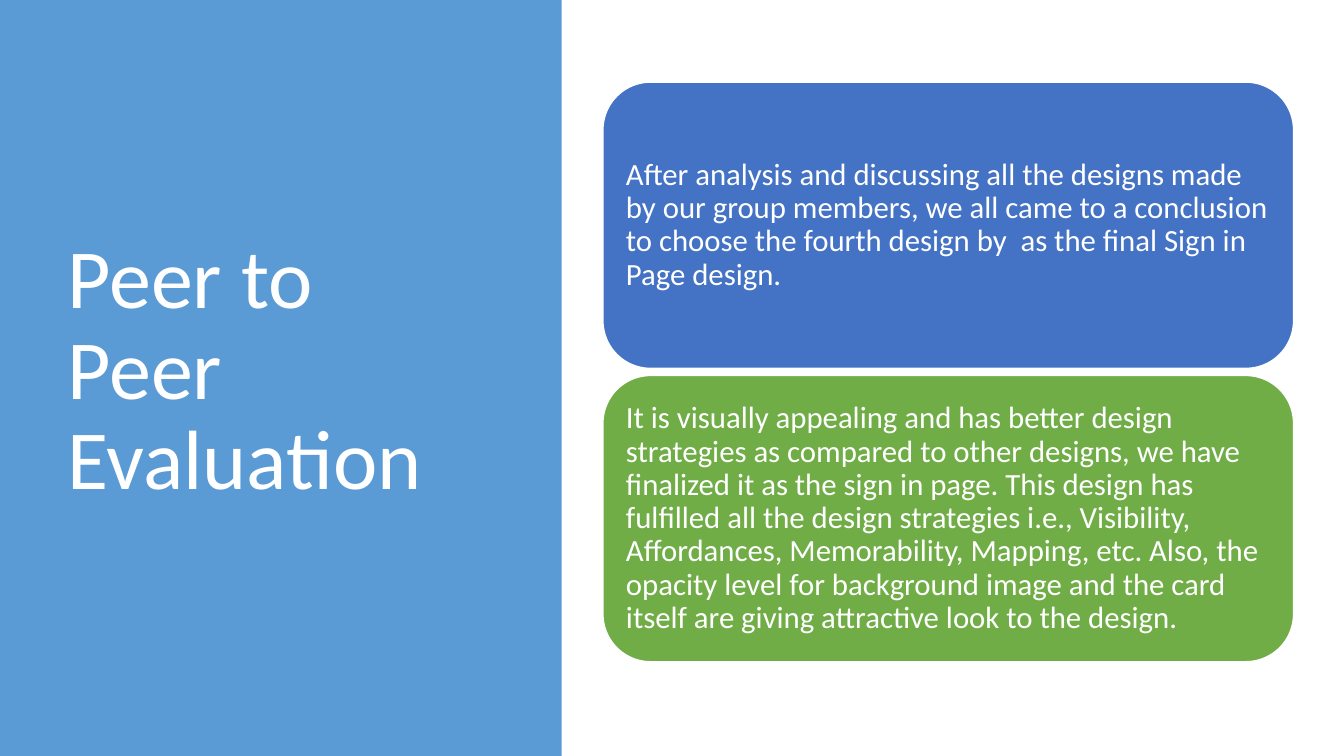
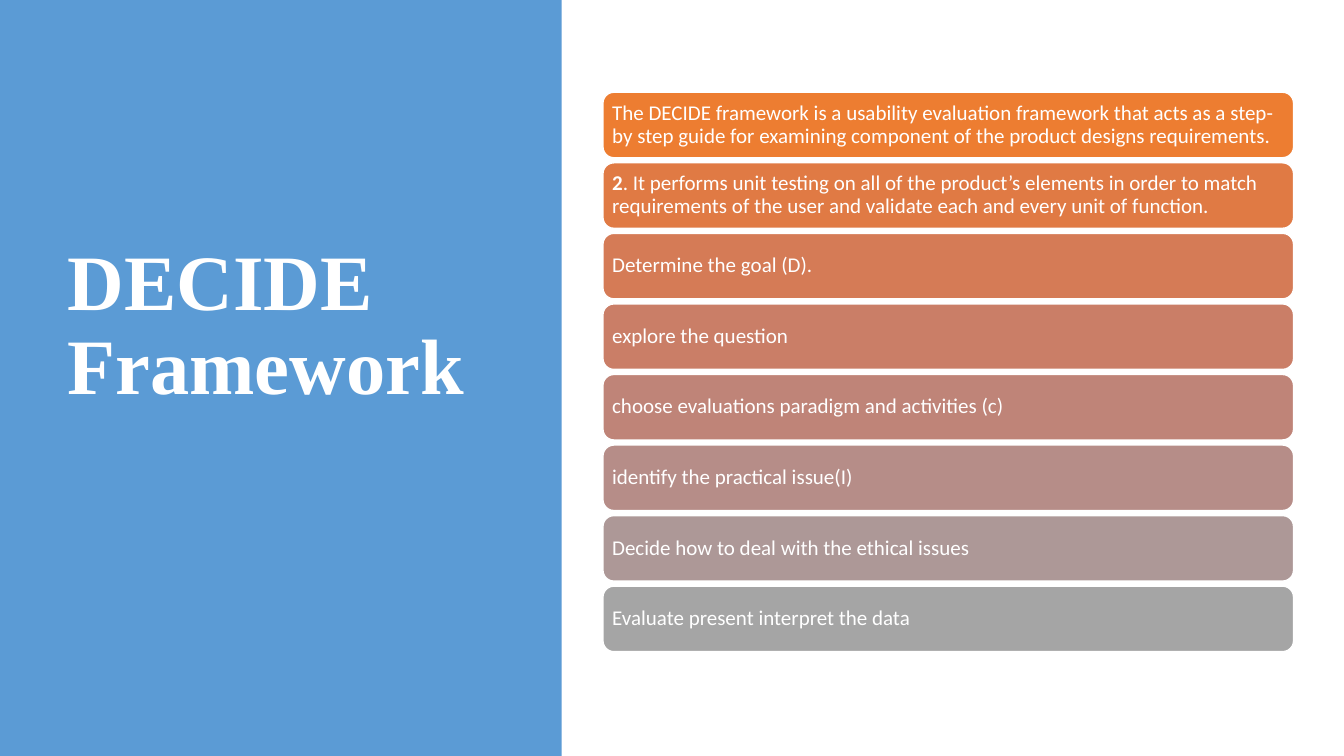
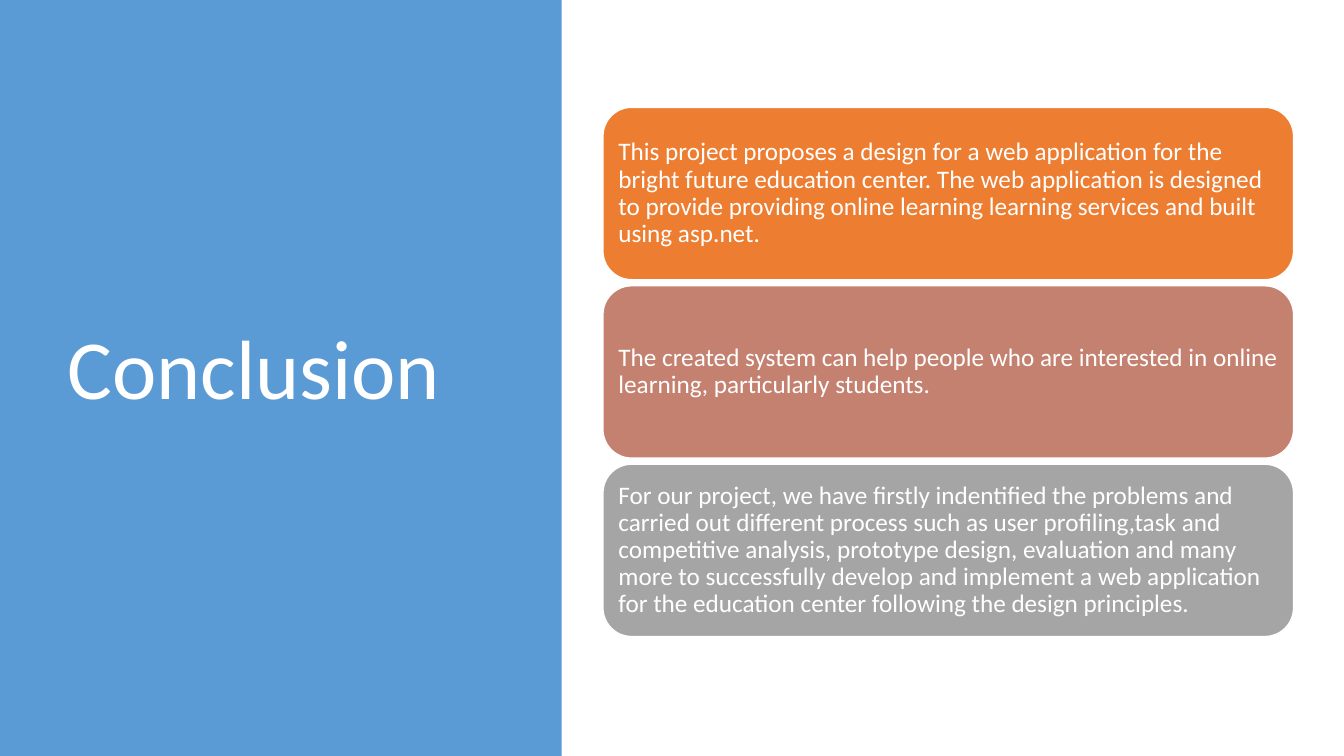
import pptx
import pptx.dml.color
import pptx.enum.shapes
import pptx.enum.text
import pptx.util

Inches = pptx.util.Inches

COLORS = {
    "panel": "5B9BD5",
    "white": "FFFFFF",
    "blue": "4472C4",
    "green": "70AD47",
    "orange": "ED7D31",
    "rust": "E07A44",
    "copper": "D57B56",
    "clay": "CA7E67",
    "rose": "C48170",
    "dusty": "BF8478",
    "mauve": "B68D88",
    "taupe": "AD9897",
    "gray": "A5A5A5",
}


def rgb(name):
    return pptx.dml.color.RGBColor.from_string(COLORS[name])


def write_text(frame, text, size, font="Calibri", color="white", bold=False, bold_prefix=""):
    frame.word_wrap = True
    frame.auto_size = pptx.enum.text.MSO_AUTO_SIZE.NONE
    frame.vertical_anchor = pptx.enum.text.MSO_ANCHOR.MIDDLE
    paragraph = frame.paragraphs[0]
    paragraph.alignment = pptx.enum.text.PP_ALIGN.LEFT
    paragraph.line_spacing = 0.9
    for part, heavy in ((bold_prefix, True), (text, bold)):
        if part:
            run = paragraph.add_run()
            run.text = part
            run.font.name = font
            run.font.size = pptx.util.Pt(size)
            run.font.bold = heavy
            run.font.color.rgb = rgb(color)


class Deck:
    panel_width = 5.57
    title_box = (0.57, 0.68, 4.16, 6.02)
    card_left = 5.98
    card_width = 6.85
    middle = 3.69

    def __init__(self):
        self.presentation = pptx.Presentation()
        self.presentation.slide_width = Inches(13.33)
        self.presentation.slide_height = Inches(7.5)
        self.slide = None

    def shape(self, kind, left, top, width, height, fill):
        shape = self.slide.shapes.add_shape(
            kind, Inches(left), Inches(top), Inches(width), Inches(height))
        shape.shadow.inherit = False
        shape.fill.solid()
        shape.fill.fore_color.rgb = rgb(fill)
        return shape

    def new_slide(self, title, size=60, bottom_margin=0.05, **text_format):
        self.slide = self.presentation.slides.add_slide(self.presentation.slide_layouts[5])
        panel = self.shape(pptx.enum.shapes.MSO_SHAPE.RECTANGLE,
                           0, 0, self.panel_width, 7.5, "panel")
        panel.line.fill.background()
        placeholder = self.slide.shapes.title
        placeholder.element.addprevious(panel.element)
        placeholder.left, placeholder.top, placeholder.width, placeholder.height = map(
            Inches, self.title_box)
        write_text(placeholder.text_frame, title, size, **text_format)
        placeholder.text_frame.margin_bottom = Inches(bottom_margin)

    def card(self, top, height, fill, text, size, inset, bold_prefix=""):
        card = self.shape(pptx.enum.shapes.MSO_SHAPE.ROUNDED_RECTANGLE,
                          self.card_left, top, self.card_width, height, fill)
        card.line.color.rgb = rgb("white")
        card.line.width = pptx.util.Pt(1)
        frame = card.text_frame
        frame.margin_left = frame.margin_right = Inches(inset)
        frame.margin_top = frame.margin_bottom = Inches(inset)
        write_text(frame, text, size, bold_prefix=bold_prefix)

    def card_stack(self, cards, height, gap, size, inset):
        pitch = height + gap
        first_top = self.middle - (len(cards) * pitch - gap) / 2
        for index, (fill, text, *prefix) in enumerate(cards):
            self.card(first_top + index * pitch, height, fill, text, size, inset, *prefix)


def main():
    deck = Deck()

    deck.new_slide("Peer to Peer Evaluation")
    deck.card_stack([
        ("blue", "After analysis and discussing all the designs made by our group members, "
                 "we all came to a conclusion to choose the fourth design by  as the final "
                 "Sign in Page design."),
        ("green", "It is visually appealing and has better design strategies as compared to "
                  "other designs, we have finalized it as the sign in page. This design has "
                  "fulfilled all the design strategies i.e., Visibility, Affordances, "
                  "Memorability, Mapping, etc. Also, the opacity level for background image "
                  "and the card itself are giving attractive look to the design."),
    ], height=2.84, gap=0.07, size=22, inset=0.09)

    deck.new_slide("DECIDE Framework", size=56, bottom_margin=0.94,
                   font="Times New Roman", bold=True)
    deck.card_stack([
        ("orange", "The DECIDE framework is a usability evaluation framework that acts as a "
                   "step-by step guide for examining component of the product designs "
                   "requirements."),
        ("rust", ". It performs unit testing on all of the product’s elements in order to "
                 "match requirements of the user and validate each and every unit of "
                 "function.", "2"),
        ("copper", "Determine the goal (D)."),
        ("clay", "explore the question"),
        ("dusty", "choose evaluations paradigm and activities (c)"),
        ("mauve", "identify the practical issue(I)"),
        ("taupe", "Decide how to deal with the ethical issues"),
        ("gray", "Evaluate present interpret the data"),
    ], height=0.65, gap=0.05, size=15, inset=0.06)

    deck.new_slide("Conclusion")
    deck.card_stack([
        ("orange", "This project proposes a design for a web application for the bright "
                   "future education center. The web application is designed to provide "
                   "providing online learning learning services and built using asp.net."),
        ("rose", "The created system can help people who are interested in online learning, "
                 "particularly students."),
        ("gray", "For our project, we have firstly indentified the problems and carried out "
                 "different process such as user profiling,task and competitive analysis, "
                 "prototype design, evaluation and many more to successfully develop and "
                 "implement a web application for the education center following the design "
                 "principles."),
    ], height=1.71, gap=0.06, size=18, inset=0.07)

    deck.presentation.save("out.pptx")


if __name__ == "__main__":
    main()
